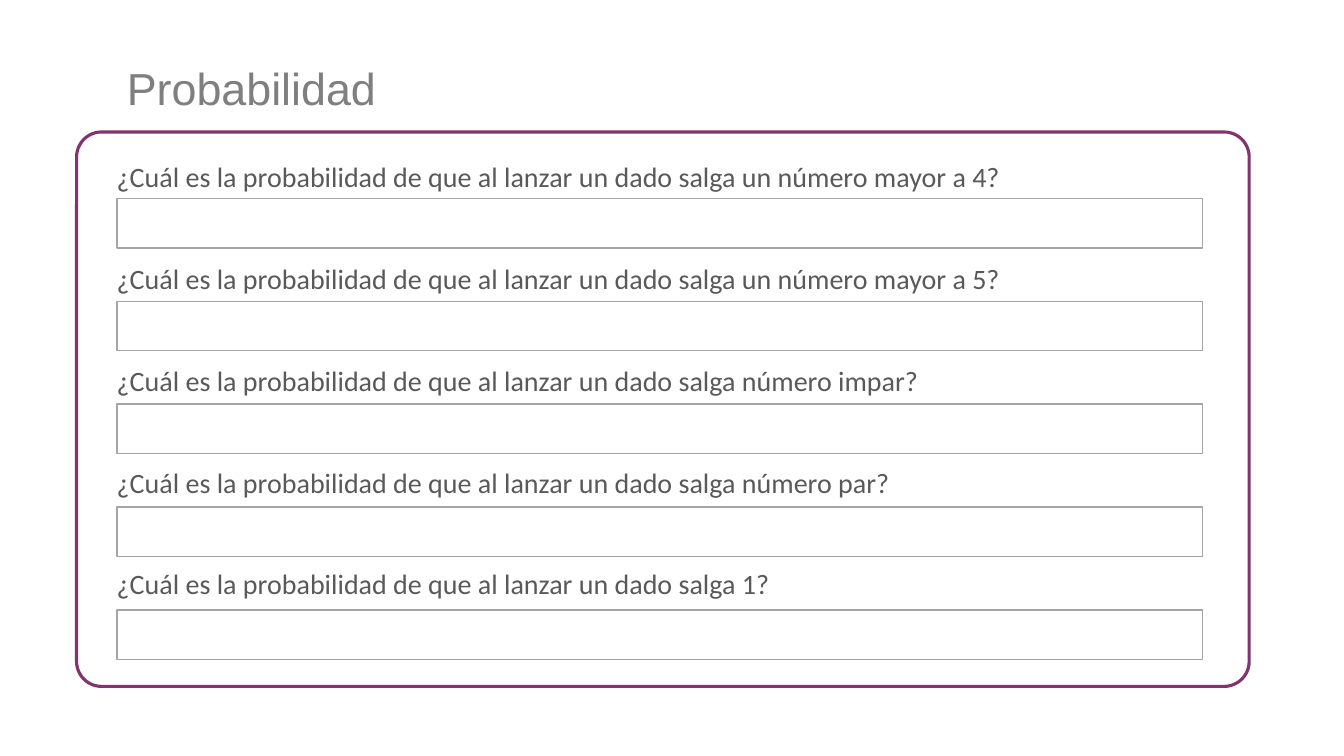
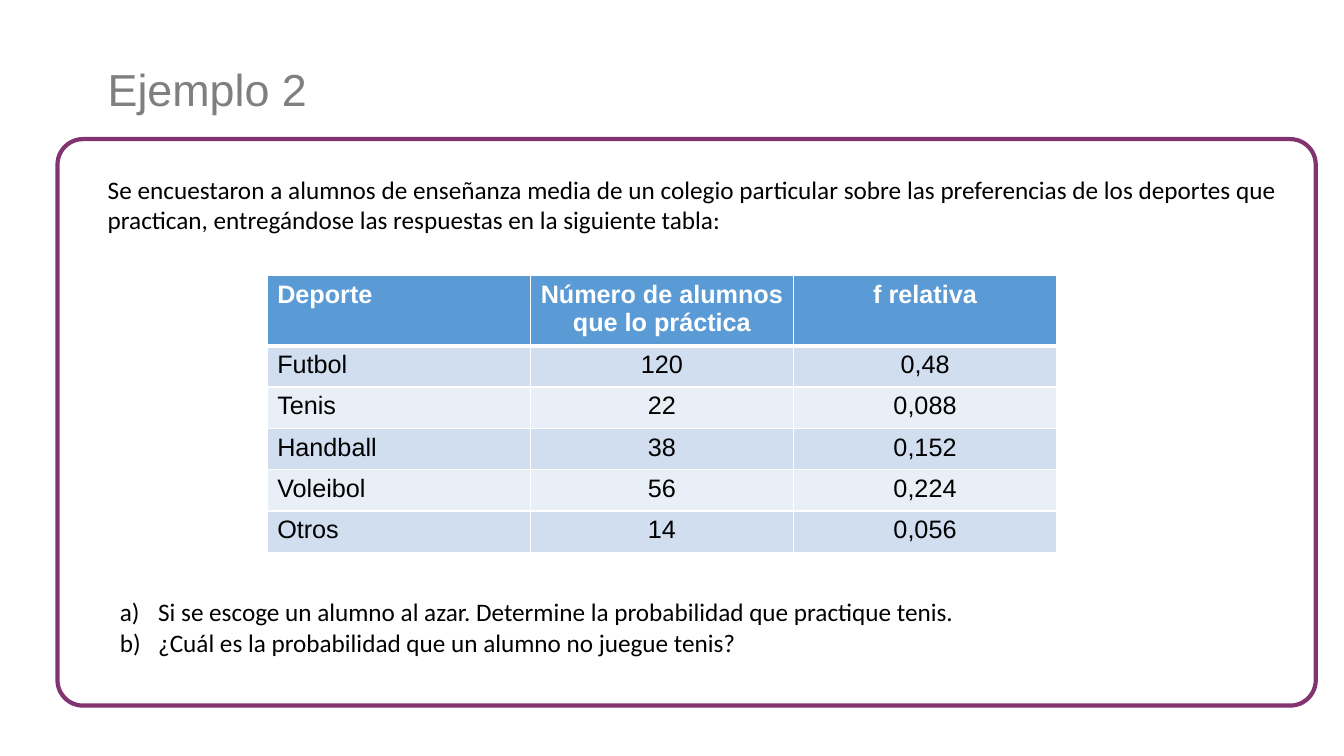
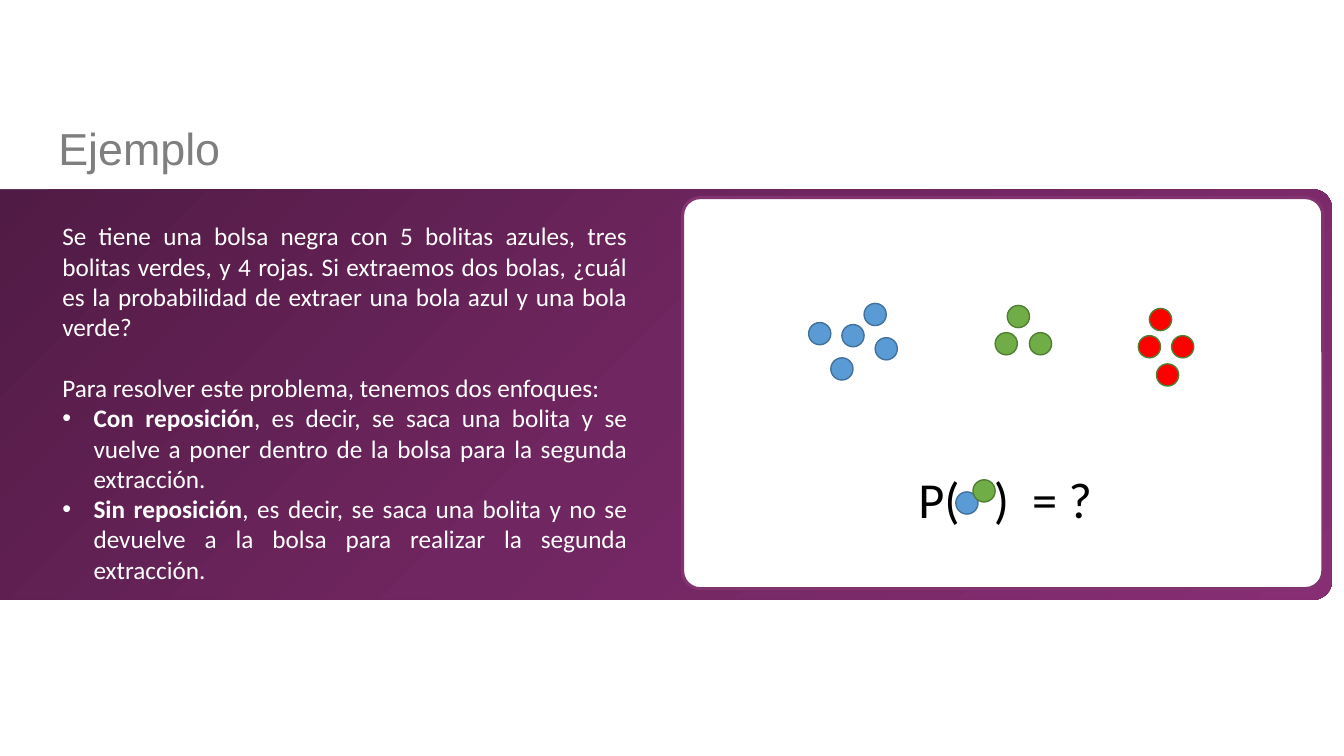
from copy import deepcopy
from dataclasses import dataclass

from lxml.etree import SubElement
from pptx import Presentation
from pptx.dml.color import RGBColor
from pptx.enum.shapes import MSO_SHAPE
from pptx.enum.text import MSO_ANCHOR, MSO_AUTO_SIZE, PP_ALIGN
from pptx.oxml.ns import qn
from pptx.util import Inches, Pt


@dataclass(frozen=True)
class Theme:
    # Colours
    white: str = "FFFFFF"
    black: str = "000000"
    title: str = "7F7F7F"
    question: str = "595959"
    answer_line: str = "A5A5A5"
    purple: str = "823471"
    band: tuple = ((0, "4E1A42"), (0.5, "702660"), (1, "872E74"))
    header: str = "5B9BD5"
    stripes: tuple = ("D0DEEF", "E9EFF7")
    blue: tuple = ("5B9BD5", "42719B")
    green: tuple = ("70AD47", "517E33")
    red: tuple = ("FF0000", "517E33")
    # Type
    heading_font: str = "Arial"
    body_font: str = "Calibri"
    title_size: int = 32
    formula_size: int = 36
    question_size: int = 20
    body_size: int = 18
    # Shapes
    corner: float = 0.045
    ball: float = 0.22


THEME = Theme()


class Deck:
    def __init__(self, theme):
        self.theme = theme
        self.deck = Presentation()
        self.deck.slide_width = Inches(13.33)
        self.deck.slide_height = Inches(7.5)
        self.page = None

    def add_page(self, title, left, top, width, height):
        self.page = self.deck.slides.add_slide(self.deck.slide_layouts[6])
        theme = self.theme
        frame = self.text_frame(left, top, width, height)
        frame.vertical_anchor = MSO_ANCHOR.MIDDLE
        para = frame.paragraphs[0]
        para.alignment = PP_ALIGN.JUSTIFY
        para.line_spacing = 0.9
        self.span(para, title, theme.title_size, theme.title, theme.heading_font)

    def text_frame(self, left, top, width, height):
        box = self.page.shapes.add_textbox(
            Inches(left), Inches(top), Inches(width), Inches(height))
        box.text_frame.word_wrap = True
        return box.text_frame

    def span(self, para, text, size, color, font=None, bold=False):
        run = para.add_run()
        run.text = text
        run.font.size = Pt(size)
        run.font.name = font or self.theme.body_font
        run.font.bold = bold
        run.font.color.rgb = RGBColor.from_string(color)

    def bullet(self, para, indent, color, tag, **attributes):
        properties = para._p.get_or_add_pPr()
        properties.set("marL", str(Inches(indent)))
        properties.set("indent", str(-Inches(indent)))
        bullet_color = SubElement(properties, qn("a:buClr"))
        SubElement(bullet_color, qn("a:srgbClr"), val=color)
        SubElement(properties, qn("a:buFont"),
                   typeface="Arial" if tag == "a:buChar" else "+mj-lt")
        SubElement(properties, qn(tag), **attributes)

    def text(self, left, top, width, height, paragraphs, size, color,
             gaps=(), align=PP_ALIGN.JUSTIFY, bullets=None):
        """Each paragraph is a list of (text, bold); bullets maps index to style."""
        frame = self.text_frame(left, top, width, height)
        frame.auto_size = MSO_AUTO_SIZE.SHAPE_TO_FIT_TEXT
        gaps = dict(gaps)
        for index, spans in enumerate(paragraphs):
            para = frame.add_paragraph() if index else frame.paragraphs[0]
            para.alignment = align
            if index in gaps:
                para.space_before = Pt(gaps[index])
            if bullets and index in bullets:
                indent, tag, attributes = bullets[index]
                self.bullet(para, indent, color, tag, **attributes)
            for words, bold in spans:
                self.span(para, words, size, color, bold=bold)
        return frame

    def tab_stops(self, para, positions):
        stops = SubElement(para._p.get_or_add_pPr(), qn("a:tabLst"))
        for position in positions:
            SubElement(stops, qn("a:tab"), pos=str(Inches(position)), algn="l")

    def shape(self, kind, left, top, width, height, fill=None, line=None, weight=1):
        shape = self.page.shapes.add_shape(
            kind, Inches(left), Inches(top), Inches(width), Inches(height))
        shape.shadow.inherit = False
        if fill:
            shape.fill.solid()
            shape.fill.fore_color.rgb = RGBColor.from_string(fill)
        if line:
            shape.line.color.rgb = RGBColor.from_string(line)
            shape.line.width = Pt(weight)
        else:
            shape.line.fill.background()
        if kind == MSO_SHAPE.ROUNDED_RECTANGLE:
            shape.adjustments[0] = self.theme.corner
        return shape

    def panel(self, left, top, width, height, weight=2.25):
        self.shape(MSO_SHAPE.ROUNDED_RECTANGLE, left, top, width, height,
                   self.theme.white, self.theme.purple, weight)

    def gradient_band(self, left, top, width, height):
        band = self.shape(MSO_SHAPE.ROUNDED_RECTANGLE, left, top, width, height)
        band.fill.gradient()
        band.fill.gradient_angle = 315
        stop_list = next(band.element.iter(qn("a:gsLst")))
        stop_list.insert(1, deepcopy(stop_list[0]))
        for stop, (position, color) in zip(band.fill.gradient_stops, self.theme.band):
            stop.position = position
            stop.color.rgb = RGBColor.from_string(color)

    def balls(self, colors, positions):
        size = self.theme.ball
        for left, top in positions:
            self.shape(MSO_SHAPE.OVAL, left, top, size, size, *colors)

    def cell_borders(self, cell, bottom):
        properties = cell._tc.get_or_add_tcPr()
        sides = (("a:lnL", 1), ("a:lnR", 1), ("a:lnT", 1), ("a:lnB", bottom))
        for index, (tag, weight) in enumerate(sides):
            line = SubElement(properties, qn(tag), w=str(Pt(weight)))
            fill = SubElement(line, qn("a:solidFill"))
            SubElement(fill, qn("a:srgbClr"), val=self.theme.white)
            properties.insert(index, line)

    def table(self, left, top, column_width, header_height, row_height, rows):
        theme = self.theme
        columns = len(rows[0])
        height = header_height + row_height * (len(rows) - 1)
        table = self.page.shapes.add_table(
            len(rows), columns, Inches(left), Inches(top),
            Inches(column_width * columns), Inches(height)).table
        for column in table.columns:
            column.width = Inches(column_width)
        for r, values in enumerate(rows):
            is_header = r == 0
            table.rows[r].height = Inches(header_height if is_header else row_height)
            fill = theme.header if is_header else theme.stripes[(r - 1) % 2]
            color = theme.white if is_header else theme.black
            for c, value in enumerate(values):
                cell = table.cell(r, c)
                cell.fill.solid()
                cell.fill.fore_color.rgb = RGBColor.from_string(fill)
                self.cell_borders(cell, 3 if is_header else 1)
                para = cell.text_frame.paragraphs[0]
                para.alignment = PP_ALIGN.CENTER if c else PP_ALIGN.LEFT
                self.span(para, value, theme.body_size, color,
                          theme.heading_font, is_header)


def questions_page(deck):
    theme = deck.theme
    deck.add_page("Probabilidad", 1.16, 0.6, 11.23, 0.61)
    deck.panel(0.76, 1.31, 11.63, 5.5)
    endings = ("un número mayor a 4?", "un número mayor a 5?",
               "número impar?", "número par?", "1?")
    stem = "¿Cuál es la probabilidad de que al lanzar un dado salga "
    deck.text(1.06, 1.53, 11.1, 4.48,
              [[(stem + ending, False)] for ending in endings],
              theme.question_size, theme.question,
              gaps=[(index, 48.8) for index in range(1, len(endings))])
    # Answer boxes
    for index in range(len(endings)):
        deck.shape(MSO_SHAPE.RECTANGLE, 1.16, 1.97 + 1.02 * index, 10.77, 0.49,
                   theme.white, theme.answer_line)


def survey_page(deck):
    theme = deck.theme
    deck.add_page("Ejemplo 2", 0.97, 0.64, 11.4, 0.55)
    deck.panel(0.57, 1.38, 12.48, 5.62, 3)
    deck.text(0.97, 1.68, 11.79, 0.71, [[(
        "Se encuestaron a alumnos de enseñanza media de un colegio particular "
        "sobre las preferencias de los deportes que practican, entregándose "
        "las respuestas en la siguiente tabla:", False)]],
        theme.body_size, theme.black)
    deck.table(2.65, 2.73, 2.61, 0.69, 0.41, [
        ("Deporte", "Número de alumnos que lo práctica", "f relativa"),
        ("Futbol", "120", "0,48"),
        ("Tenis", "22", "0,088"),
        ("Handball", "38", "0,152"),
        ("Voleibol", "56", "0,224"),
        ("Otros", "14", "0,056"),
    ])
    # Lettered questions
    letter = (0.38, "a:buAutoNum", {"type": "alphaLcParenR"})
    deck.text(1.09, 5.87, 11.15, 0.71, [
        [("Si se escoge un alumno al azar. Determine la probabilidad "
          "que practique tenis.", False)],
        [("¿Cuál es la probabilidad que un alumno no juegue tenis?", False)],
    ], theme.body_size, theme.black, bullets={0: letter, 1: letter})


def balls_page(deck):
    theme = deck.theme
    deck.add_page("Ejemplo", 0.48, 1.11, 12.65, 0.77)
    deck.gradient_band(-0.57, 1.88, 13.78, 4.07)
    deck.panel(6.77, 1.96, 6.35, 3.88)
    # Statement
    dot = (0.31, "a:buChar", {"char": "•"})
    deck.text(0.52, 2.14, 5.8, 3.74, [
        [("Se tiene una bolsa negra con 5 bolitas azules, tres bolitas verdes, "
          "y 4 rojas. Si extraemos dos bolas, ¿cuál es la probabilidad de "
          "extraer una bola azul y una bola verde?", False)],
        [("Para resolver este problema, tenemos dos enfoques:", False)],
        [("Con reposición", True),
         (", es decir, se saca una bolita y se vuelve a poner dentro de la "
          "bolsa para la segunda extracción.", False)],
        [("Sin reposición", True),
         (", es decir, se saca una bolita y no se devuelve a la bolsa para "
          "realizar la segunda extracción.", False)],
    ], theme.body_size, theme.white, gaps=[(1, 22)], bullets={2: dot, 3: dot})
    # Balls in the bag
    deck.balls(theme.blue, [(8.02, 3.2), (8.35, 3.22), (8.24, 3.55),
                            (8.57, 3.01), (8.68, 3.35)])
    deck.balls(theme.green, [(9.87, 3.3), (9.99, 3.03), (10.21, 3.3)])
    deck.balls(theme.red, [(11.29, 3.33), (11.4, 3.06), (11.62, 3.33), (11.47, 3.61)])
    # Formula with the two drawn balls
    formula = deck.text(9.01, 4.59, 2.1, 0.71, [[("P(\t)\t= ?", False)]],
                        theme.formula_size, theme.black, align=PP_ALIGN.LEFT)
    deck.tab_stops(formula.paragraphs[0], (0.75, 1.13))
    deck.balls(theme.blue, [(9.48, 4.88)])
    deck.balls(theme.green, [(9.65, 4.76)])


def main():
    deck = Deck(THEME)
    questions_page(deck)
    survey_page(deck)
    balls_page(deck)
    deck.deck.save("out.pptx")


if __name__ == "__main__":
    main()
